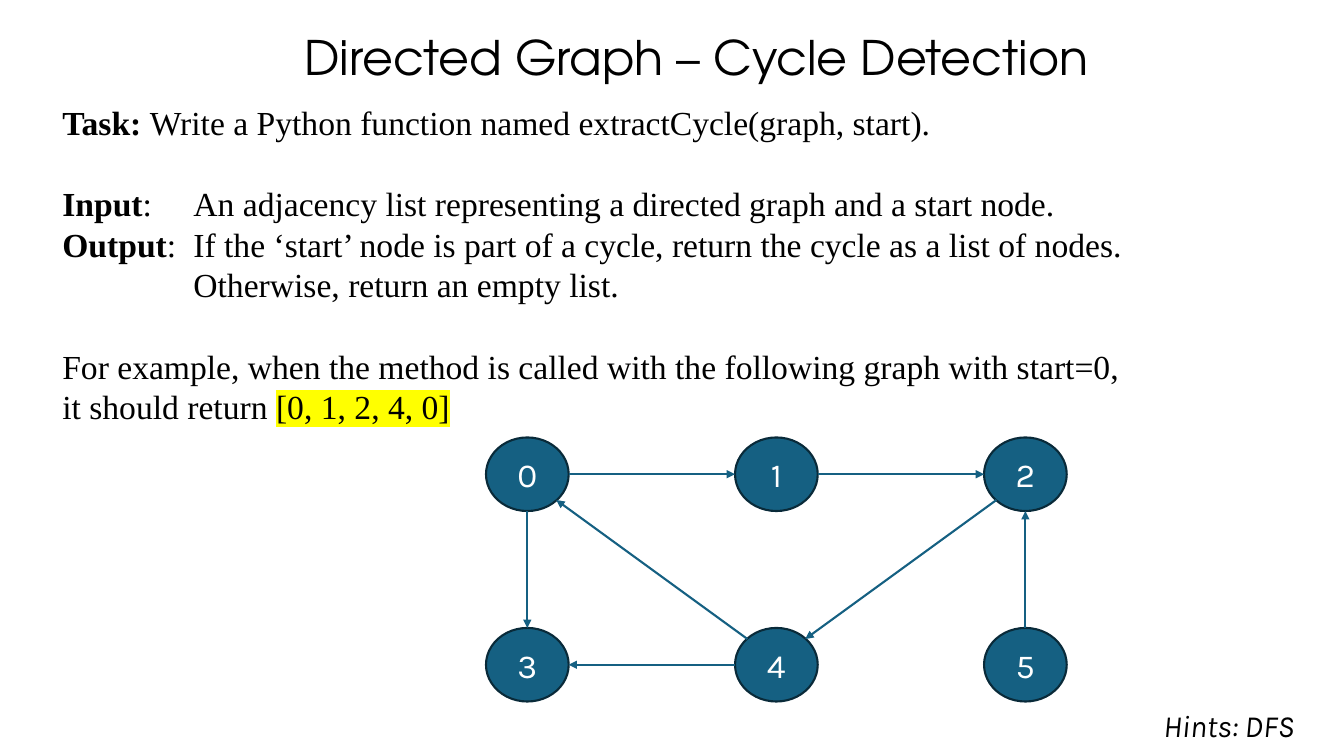
from lxml import etree
from pptx import Presentation
from pptx.dml.color import RGBColor
from pptx.enum.shapes import MSO_CONNECTOR, MSO_SHAPE
from pptx.enum.text import MSO_ANCHOR, MSO_AUTO_SIZE, PP_ALIGN
from pptx.oxml.ns import qn
from pptx.util import Pt

EMU_PER_PX = 9144
ELLIPSE = MSO_SHAPE.OVAL
STRAIGHT = MSO_CONNECTOR.STRAIGHT
LEFT, CENTER = PP_ALIGN.LEFT, PP_ALIGN.CENTER
MIDDLE = MSO_ANCHOR.MIDDLE
NO_AUTOFIT = MSO_AUTO_SIZE.NONE

TITLE_FONT, BODY_FONT, LABEL_FONT = "TeX Gyre Adventor", "Times New Roman", "Karla"
BLACK, WHITE, YELLOW = "000000", "FFFFFF", "FFFF00"
NODE_FILL, NODE_LINE = "156082", "092A39"

NODE_W, NODE_H = 82, 73
COLUMN_X = [482 + 247 * i for i in range(3)]
ROW_Y = [434, 623]
SITES = {
    "top": (0.5, 0), "left": (0, 0.5), "bottom": (0.5, 1), "right": (1, 0.5),
    "top left": (0.15, 0.15), "top right": (0.85, 0.15),
    "bottom left": (0.15, 0.85), "bottom right": (0.85, 0.85),
}
EDGES = [
    (0, "right", 1, "left"),
    (1, "right", 2, "left"),
    (2, "bottom left", 4, "top right"),
    (4, "top left", 0, "bottom right"),
    (5, "top", 2, "bottom"),
    (0, "bottom", 3, "top"),
    (4, "left", 3, "right"),
]
TASK_LINES = [
    (0, [("Task: ", "b"), ("Write a Python function named extractCycle(graph, start).", "")]),
    (29, [("Input", "b"),
          (":\tAn adjacency list representing a directed graph and a start node.", "")]),
    (0, [("Output", "b"),
         (":\tIf the ‘start’ node is part of a cycle, return the cycle as a list of nodes.", "")]),
    (0, [("\tOtherwise, return an empty list.", "")]),
    (29, [("For example, when the method is called with the following graph with start=0,", "")]),
    (0, [("it should return ", ""), ("[0, 1, 2, 4, 0]", "h")]),
]


def px(n):
    return round(n * EMU_PER_PX)


def rgb(color):
    return RGBColor.from_string(color)


def set_font(p, name, size, color):
    p.font.name = name
    p.font.size = Pt(size)
    p.font.color.rgb = rgb(color)


def add_title(s, text):
    sp = s.shapes.title
    sp.left, sp.top, sp.width, sp.height = px(292), px(-13), px(1150), px(145)
    tf = sp.text_frame
    tf.text = text
    tf.auto_size = NO_AUTOFIT
    tf.vertical_anchor = MIDDLE
    p = tf.paragraphs[0]
    p.alignment = LEFT
    p.line_spacing = 0.9
    set_font(p, TITLE_FONT, 34, BLACK)


def add_textbox(s, x, y, w, h):
    tf = s.shapes.add_textbox(px(x), px(y), px(w), px(h)).text_frame
    tf.word_wrap = True
    return tf


def add_tab_stop(p, x):
    tabs = etree.SubElement(p._p.get_or_add_pPr(), qn("a:tabLst"))
    etree.SubElement(tabs, qn("a:tab"), pos=str(px(x)), algn="l")


def highlight(r, color):
    mark = etree.SubElement(r._r.get_or_add_rPr(), qn("a:highlight"))
    etree.SubElement(mark, qn("a:srgbClr"), val=color)


def add_task(s):
    tf = add_textbox(s, 52, 96, 1086, 333)
    for i, (gap, runs) in enumerate(TASK_LINES):
        p = tf.add_paragraph() if i else tf.paragraphs[0]
        add_tab_stop(p, 130)
        p.line_spacing = Pt(29)
        p.space_before = Pt(gap)
        set_font(p, BODY_FONT, 24, BLACK)
        for text, style in runs:
            r = p.add_run()
            r.text = text
            if style == "b":
                r.font.bold = True
            elif style == "h":
                highlight(r, YELLOW)


def add_node(s, number):
    row, column = divmod(number, 3)
    sp = s.shapes.add_shape(ELLIPSE, px(COLUMN_X[column]), px(ROW_Y[row]), px(NODE_W), px(NODE_H))
    sp.shadow.inherit = False
    sp.fill.solid()
    sp.fill.fore_color.rgb = rgb(NODE_FILL)
    sp.line.color.rgb = rgb(NODE_LINE)
    sp.line.width = Pt(1.5)
    tf = sp.text_frame
    tf.text = str(number)
    tf.vertical_anchor = MIDDLE
    p = tf.paragraphs[0]
    p.alignment = CENTER
    set_font(p, LABEL_FONT, 24, WHITE)


def site_point(number, site):
    row, column = divmod(number, 3)
    fx, fy = SITES[site]
    return px(COLUMN_X[column] + fx * NODE_W), px(ROW_Y[row] + fy * NODE_H)


def add_edge(s, source, source_site, target, target_site):
    start = site_point(source, source_site)
    end = site_point(target, target_site)
    line = s.shapes.add_connector(STRAIGHT, *start, *end)
    line.line.color.rgb = rgb(NODE_FILL)
    line.line.width = Pt(1.5)
    etree.SubElement(line.line._get_or_add_ln(), qn("a:tailEnd"), type="triangle")
    etree.SubElement(line._element.spPr, qn("a:effectLst"))


def add_hint(s, text):
    p = add_textbox(s, 1144, 696, 161, 47).paragraphs[0]
    p.add_run().text = text
    set_font(p, LABEL_FONT, 22, BLACK)
    p.font.italic = True


def main():
    prs = Presentation()
    prs.slide_width, prs.slide_height = px(1333), px(750)
    s = prs.slides.add_slide(prs.slide_layouts[5])
    add_title(s, "Directed Graph – Cycle Detection")
    add_task(s)
    for number in range(6):
        add_node(s, number)
    for edge in EDGES:
        add_edge(s, *edge)
    add_hint(s, "Hints: DFS")
    prs.save("out.pptx")


if __name__ == "__main__":
    main()
